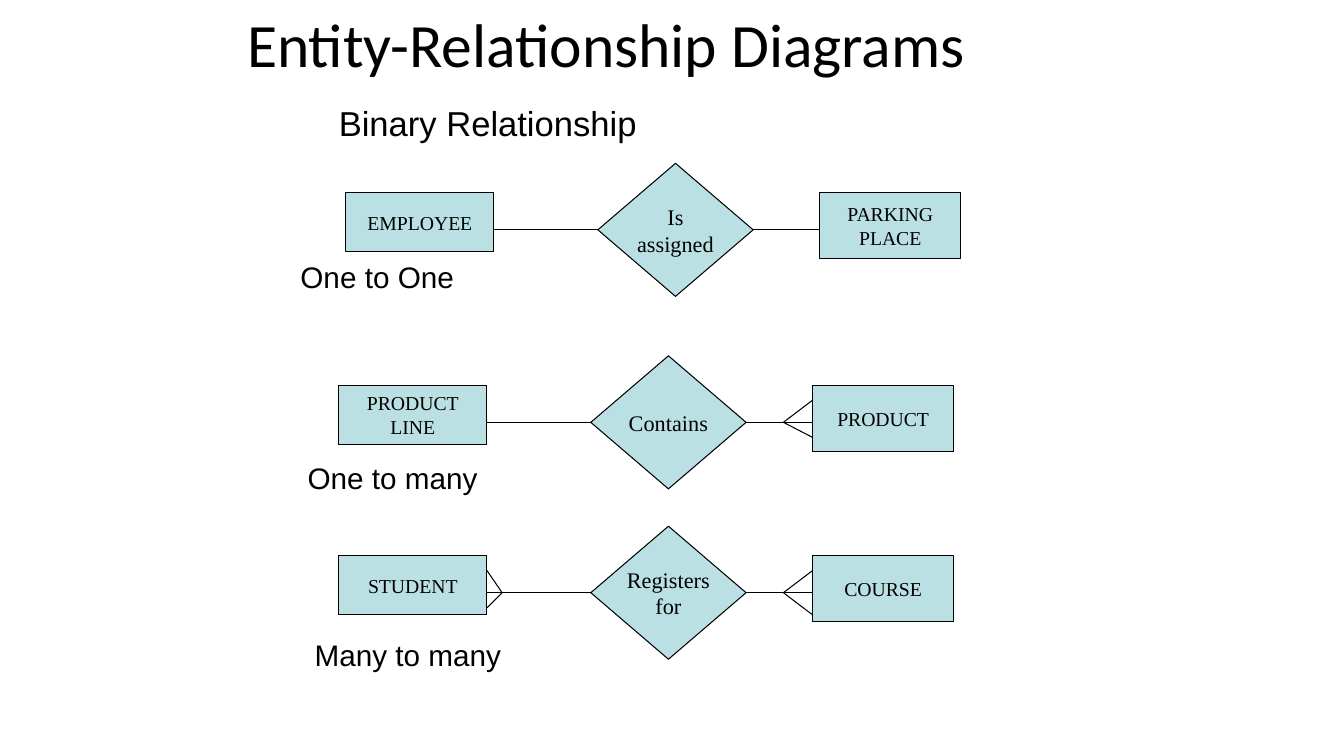
from pptx import Presentation
from pptx.dml.color import RGBColor
from pptx.enum.shapes import MSO_CONNECTOR, MSO_SHAPE
from pptx.enum.text import MSO_ANCHOR, MSO_AUTO_SIZE, PP_ALIGN
from pptx.oxml.ns import qn
from pptx.util import Inches, Pt
from lxml import etree

COLORS = {"fill": "BAE0E3", "ink": "000000"}
INK = RGBColor.from_string(COLORS["ink"])

prs = Presentation()
prs.slide_width, prs.slide_height = Inches(13.33), Inches(7.5)
s = prs.slides.add_slide(prs.slide_layouts[5])


def set_text(sp, text, size, font, align=PP_ALIGN.LEFT, anchor=MSO_ANCHOR.TOP):
    tf = sp.text_frame
    tf.text = text
    tf.word_wrap = False
    tf.auto_size = MSO_AUTO_SIZE.NONE
    tf.vertical_anchor = anchor
    tf.margin_left = tf.margin_right = tf.margin_top = tf.margin_bottom = 0
    p = tf.paragraphs[0]
    p.alignment = align
    for r in p.runs:
        r.font.size, r.font.name = Pt(size), font
        r.font.color.rgb = INK


def add_line(x1, y1, x2, y2):
    line = s.shapes.add_connector(
        MSO_CONNECTOR.STRAIGHT, Inches(x1), Inches(y1), Inches(x2), Inches(y2))
    line.line.color.rgb = INK
    line.line.width = Pt(0.75)
    etree.SubElement(line._element.spPr, qn("a:effectLst"))


title = s.shapes.title
title.left, title.top = Inches(2.45), Inches(0.06)
title.width, title.height = Inches(8.5), Inches(0.74)
set_text(title, "Entity-Relationship Diagrams", 44, "Calibri", anchor=MSO_ANCHOR.MIDDLE)

labels = [
    ("Binary Relationship", 3.36, 1.01, 2.99, 0.42, 24.7),
    ("One to One", 2.98, 2.57, 1.54, 0.36, 21.2),
    ("One to many", 3.05, 4.56, 1.71, 0.36, 21.2),
    ("Many to many", 3.12, 6.32, 1.87, 0.36, 21.2),
]
for text, x, y, w, h, size in labels:
    tb = s.shapes.add_textbox(Inches(x), Inches(y), Inches(w), Inches(h))
    set_text(tb, text, size, "Arial")

LEFT_W, LEFT_H = 1.47, 0.59
RIGHT_W, RIGHT_H = 1.4, 0.66
DIAMOND_W, DIAMOND_H = 1.54, 1.32
LEFT_GAP, RIGHT_GAP = 1.03, 0.66

relationships = [
    (3.43, 2.28, "EMPLOYEE", "Is\vassigned", "PARKING\vPLACE", [], []),
    (3.36, 4.19, "PRODUCT\vLINE", "Contains", "PRODUCT", [], [-0.22, 0.15]),
    (3.36, 5.88, "STUDENT", "Registers\vfor", "COURSE", [-0.22, 0.15], [-0.22, 0.22]),
]
for x, mid, left, verb, right, left_toes, right_toes in relationships:
    left_edge = x + LEFT_W
    diamond_x = left_edge + LEFT_GAP
    diamond_edge = diamond_x + DIAMOND_W
    right_x = diamond_edge + RIGHT_GAP
    nodes = [
        (MSO_SHAPE.RECTANGLE, left, x, mid - 0.37, LEFT_W, LEFT_H, 14.1),
        (MSO_SHAPE.DIAMOND, verb, diamond_x, mid - DIAMOND_H / 2, DIAMOND_W, DIAMOND_H, 15.9),
        (MSO_SHAPE.RECTANGLE, right, right_x, mid - 0.37, RIGHT_W, RIGHT_H, 14.1),
    ]
    for kind, text, nx, ny, w, h, size in nodes:
        sp = s.shapes.add_shape(kind, Inches(nx), Inches(ny), Inches(w), Inches(h))
        sp.shadow.inherit = False
        sp.fill.solid()
        sp.fill.fore_color.rgb = RGBColor.from_string(COLORS["fill"])
        sp.line.color.rgb = INK
        sp.line.width = Pt(0.75)
        set_text(sp, text, size, "Times New Roman", PP_ALIGN.CENTER, MSO_ANCHOR.MIDDLE)
    add_line(left_edge, mid, diamond_x, mid)
    add_line(diamond_edge, mid, right_x, mid)
    for toe in left_toes:
        add_line(left_edge, mid + toe, left_edge + 0.15, mid)
    for toe in right_toes:
        add_line(right_x - 0.29, mid, right_x, mid + toe)

prs.save("out.pptx")
